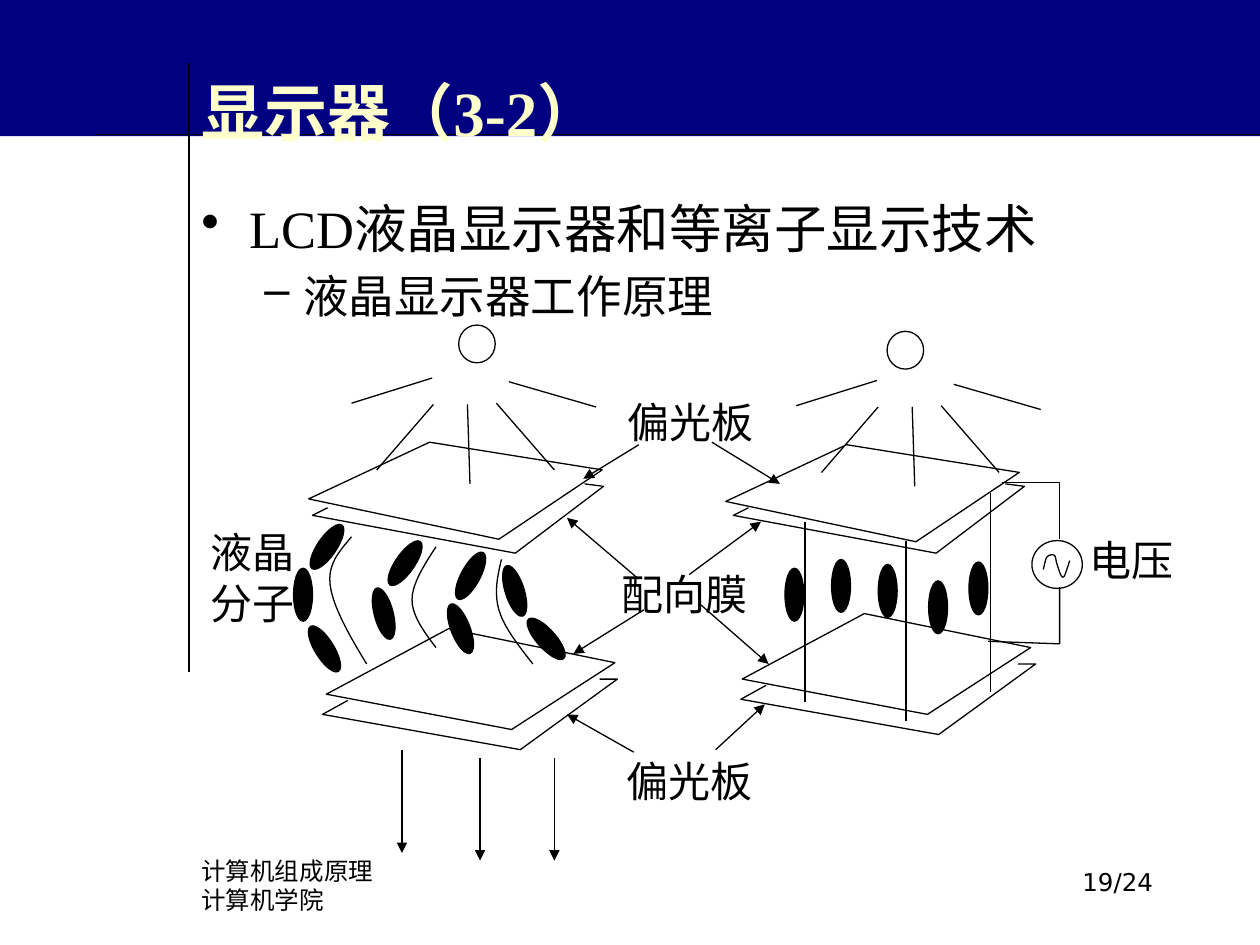
from dataclasses import dataclass

from lxml.etree import SubElement
from pptx import Presentation
from pptx.dml.color import RGBColor as Color
from pptx.enum.shapes import MSO_CONNECTOR as Connector, MSO_SHAPE as Preset
from pptx.enum.text import MSO_ANCHOR as Anchor, PP_ALIGN as Align
from pptx.oxml.ns import qn
from pptx.util import Inches, Pt


@dataclass(frozen=True)
class Theme:
    """Colours, faces, type sizes and the grid of 1000 columns by 750 rows."""
    navy: str = "000080"
    cream: str = "FFFFCC"
    ink: str = "000000"
    paper: str = "FFFFFF"
    serif: str = "Times New Roman"
    sans: str = "DejaVu Sans"
    chinese: str = "Noto Sans CJK SC"
    title: int = 36
    topic: int = 30
    subtopic: int = 26
    label: int = 24
    footer: int = 14
    hairline: float = 0.75
    cell: int = Inches(0.01)


THEME = Theme()
SHEET = [(0, 0), (-96, 45), (55, 77), (137, 22)]
UPPER_TRAY = [(0, 0), (-12, 6), (149, 36), (219, -17), (204, -19)]
LOWER_TRAY = [(0, 0), (-20, 11), (137, 39), (214, -17), (200, -17)]
LOWER_SHEET = [(0, 0), (-97, 52), (50, 80), (132, 27)]
RAYS = [(343, 300, 279, 320), (344, 321, 299, 373), (371, 321, 373, 384),
        (394, 320, 440, 373), (404, 303, 473, 323)]
COLUMNS = [(639, 414, 639, 557), (719, 429, 719, 572), (786, 391, 786, 549)]
POINTERS = [(547, 456, 604, 414), (555, 479, 610, 527), (505, 458, 450, 411),
            (511, 484, 455, 519), (565, 351, 619, 384), (568, 595, 607, 559),
            (507, 353, 463, 380), (503, 597, 450, 567)]
LIGHT_OUT = [(319, 595, 319, 677), (381, 602, 381, 683), (440, 602, 440, 683)]
TWISTED = [(250, 494, -31.8), (233, 451, 0), (252, 413, 34.4), (297, 466, -14.7),
           (314, 426, 34.9), (358, 478, -21.3), (366, 436, 28.4),
           (401, 448, -17.6), (426, 486, -41.8)]
UPRIGHT = [(623, 451, 0), (660, 444, 0), (697, 448, 0), (737, 461, 0), (769, 446, 0)]
TWISTS = [
    [(279, 426), (270, 437), (260, 447), (262, 464), (264, 481), (277, 504), (291, 527)],
    [(346, 434), (337, 448), (327, 463), (327, 476), (327, 489), (337, 502), (346, 514)],
    [(398, 444), (395, 457), (392, 470), (396, 484), (400, 498), (412, 513), (423, 527)],
]
SINE = [(828, 452), (829, 448), (830, 443), (831, 442), (833, 440), (836, 440),
        (837, 441), (838, 442), (838, 445), (839, 448), (840, 451), (842, 459),
        (844, 458), (845, 458), (847, 451), (849, 445)]
WIRES = [[(795, 383), (841, 383), (841, 428)], [(841, 466), (841, 511), (784, 509)]]


def grid(*values):
    """Turn grid positions into lengths."""
    return [round(value * THEME.cell) for value in values]


def shift(points, across, down):
    """Move points over the grid."""
    return [(x + across, y + down) for x, y in points]


def finish(shape, fill=None, line=THEME.ink):
    """Give a shape its fill and outline, without shadow."""
    shape.shadow.inherit = False
    if fill:
        shape.fill.solid()
        shape.fill.fore_color.rgb = Color.from_string(fill)
    else:
        shape.fill.background()
    if line:
        shape.line.color.rgb = Color.from_string(line)
        shape.line.width = Pt(THEME.hairline)
    else:
        shape.line.fill.background()


def add_preset(page, preset, area, fill, line=THEME.ink, turn=0):
    """Draw a preset shape on the grid."""
    shape = page.shapes.add_shape(preset, *grid(*area))
    shape.rotation = turn
    finish(shape, fill, line)


def add_outline(page, points, closed=False):
    """Draw an open path, or a closed sheet filled with paper colour."""
    start, *rest = [tuple(grid(*point)) for point in points]
    builder = page.shapes.build_freeform(*start, scale=1.0)
    builder.add_line_segments(rest, close=closed)
    finish(builder.convert_to_shape(), THEME.paper if closed else None)


def add_curve(page, knots, steps=10):
    """Draw a chain of cubic curves as a fine path."""
    points = [knots[0]]
    for first in range(0, len(knots) - 1, 3):
        a, b, c, d = knots[first:first + 4]
        for step in range(1, steps + 1):
            t = step / steps
            weights = (1 - t) ** 3, 3 * t * (1 - t) ** 2, 3 * t * t * (1 - t), t ** 3
            points.append(tuple(sum(w * p[axis] for w, p in zip(weights, (a, b, c, d)))
                                for axis in (0, 1)))
    add_outline(page, points)


def add_lines(page, ends, arrow=False):
    """Draw straight lines, with arrowheads if asked."""
    for end in ends:
        line = page.shapes.add_connector(Connector.STRAIGHT, *grid(*end))
        line.line.color.rgb = Color.from_string(THEME.ink)
        line.line.width = Pt(THEME.hairline)
        if arrow:
            SubElement(line.line._get_or_add_ln(), qn("a:tailEnd"), type="triangle")
        SubElement(line._element.spPr, qn("a:effectLst"))


def add_box(page, area, inset=10, anchor=Anchor.TOP):
    """Add an empty wrapping text box and return its frame."""
    frame = page.shapes.add_textbox(*grid(*area)).text_frame
    frame.word_wrap = True
    frame.vertical_anchor = anchor
    frame.margin_left, frame.margin_right = grid(inset, inset)
    frame.margin_top, frame.margin_bottom = grid(inset / 2, inset / 2)
    return frame


def add_span(para, text, size, face, color=THEME.ink, bold=False):
    """Add one run of text with Latin and Chinese faces."""
    span = para.add_run()
    span.text = text
    span.font.size, span.font.name, span.font.bold = Pt(size), face, bold
    span.font.color.rgb = Color.from_string(color)
    SubElement(span._r.get_or_add_rPr(), qn("a:ea"), typeface=THEME.chinese)


def add_bullet(para, mark, margin, hang):
    """Give a paragraph a bullet with a hanging indent."""
    settings = para._p.get_or_add_pPr()
    settings.set("marL", str(Inches(margin)))
    settings.set("indent", str(-Inches(hang)))
    SubElement(settings, qn("a:buChar"), char=mark)


def add_label(page, area, *lines, face=THEME.chinese):
    """Name a part of the diagram, one paragraph for each line."""
    frame = add_box(page, area, inset=0)
    for number, text in enumerate(lines):
        para = frame.add_paragraph() if number else frame.paragraphs[0]
        para.alignment, para.line_spacing = Align.JUSTIFY, Pt(1.2 * THEME.label)
        add_span(para, text, THEME.label, face)


def add_lamp(page, bulb, across=0, down=0):
    """Draw a lamp and its rays."""
    add_preset(page, Preset.OVAL, (*bulb, 29, 30), THEME.paper)
    add_lines(page, [(a + across, b + down, c + across, d + down) for a, b, c, d in RAYS])


def add_molecules(page, places):
    """Draw the liquid crystal molecules."""
    for left, top, turn in places:
        add_preset(page, Preset.OVAL, (left, top, 15, 42), THEME.ink, turn=turn)


def add_frame(page):
    """Draw the banner, rules, title and footer."""
    add_preset(page, Preset.RECTANGLE, (0, 0, 1000, 108), THEME.navy, line=None)
    add_lines(page, [(1000, 107, 75, 107), (150, 50, 150, 533)])
    para = add_box(page, (150, 42, 850, 83), anchor=Anchor.MIDDLE).paragraphs[0]
    para.line_spacing = Pt(50)
    add_span(para, "显示器（3-2）", THEME.title, THEME.serif, THEME.cream, True)
    para = add_box(page, (150, 675, 475, 50)).paragraphs[0]
    para.line_spacing = Pt(16.5)
    add_span(para, "计算机组成原理", THEME.footer, THEME.chinese)
    para.add_line_break()
    add_span(para, "计算机学院", THEME.footer, THEME.sans)
    para = add_box(page, (717, 683, 208, 50)).paragraphs[0]
    para.alignment = Align.RIGHT
    add_span(para, "19/24", THEME.footer, THEME.sans)


def add_topics(page):
    """Write the two bulleted lines."""
    frame = add_box(page, (150, 142, 833, 533))
    topic, subtopic = frame.paragraphs[0], frame.add_paragraph()
    topic.line_spacing, subtopic.line_spacing = Pt(42.5), Pt(31)
    subtopic.level, subtopic.space_before = 1, Pt(5)
    add_bullet(topic, "•", 0.38, 0.38)
    add_bullet(subtopic, "–", 0.81, 0.31)
    add_span(topic, "LCD液晶显示器和等离子显示技术", THEME.topic, THEME.serif)
    add_span(subtopic, "液晶显示器工作原理", THEME.subtopic, THEME.serif)


def add_plates(page):
    """Draw the plates above and below both cells."""
    for tray, sheet in [((260, 403), (341, 351)), ((594, 403), (672, 353))]:
        add_outline(page, shift(UPPER_TRAY, *tray))
        add_outline(page, shift(SHEET, *sheet), closed=True)
    for tray, sheet in [((276, 556), (356, 499)), ((608, 544), (686, 487))]:
        add_outline(page, shift(LOWER_TRAY, *tray))
        add_outline(page, shift(LOWER_SHEET, *sheet), closed=True)


def add_voltage(page):
    """Draw the voltage source and its wires."""
    add_preset(page, Preset.OVAL, (819, 429, 40, 38), THEME.paper)
    for wire in WIRES:
        add_outline(page, wire)
    add_curve(page, SINE)
    add_label(page, (865, 424, 85, 40), "电压")


def main():
    """Build and save the slide."""
    deck = Presentation()
    deck.slide_width, deck.slide_height = grid(1000, 750)
    page = deck.slides.add_slide(deck.slide_layouts[6])
    add_frame(page)
    add_topics(page)
    add_plates(page)
    add_lamp(page, (364, 258))
    add_lamp(page, (704, 263), across=353, down=2)
    add_molecules(page, UPRIGHT + TWISTED)
    add_lines(page, POINTERS + LIGHT_OUT, arrow=True)
    add_lines(page, COLUMNS)
    for twist in TWISTS:
        add_curve(page, twist)
    add_label(page, (493, 451, 109, 40), "配向膜", face=THEME.serif)
    add_label(page, (498, 315, 125, 40), "偏光板")
    add_label(page, (497, 600, 113, 40), "偏光板")
    add_label(page, (167, 418, 82, 81), "液晶", "分子")
    add_voltage(page)
    deck.save("out.pptx")


if __name__ == "__main__":
    main()
